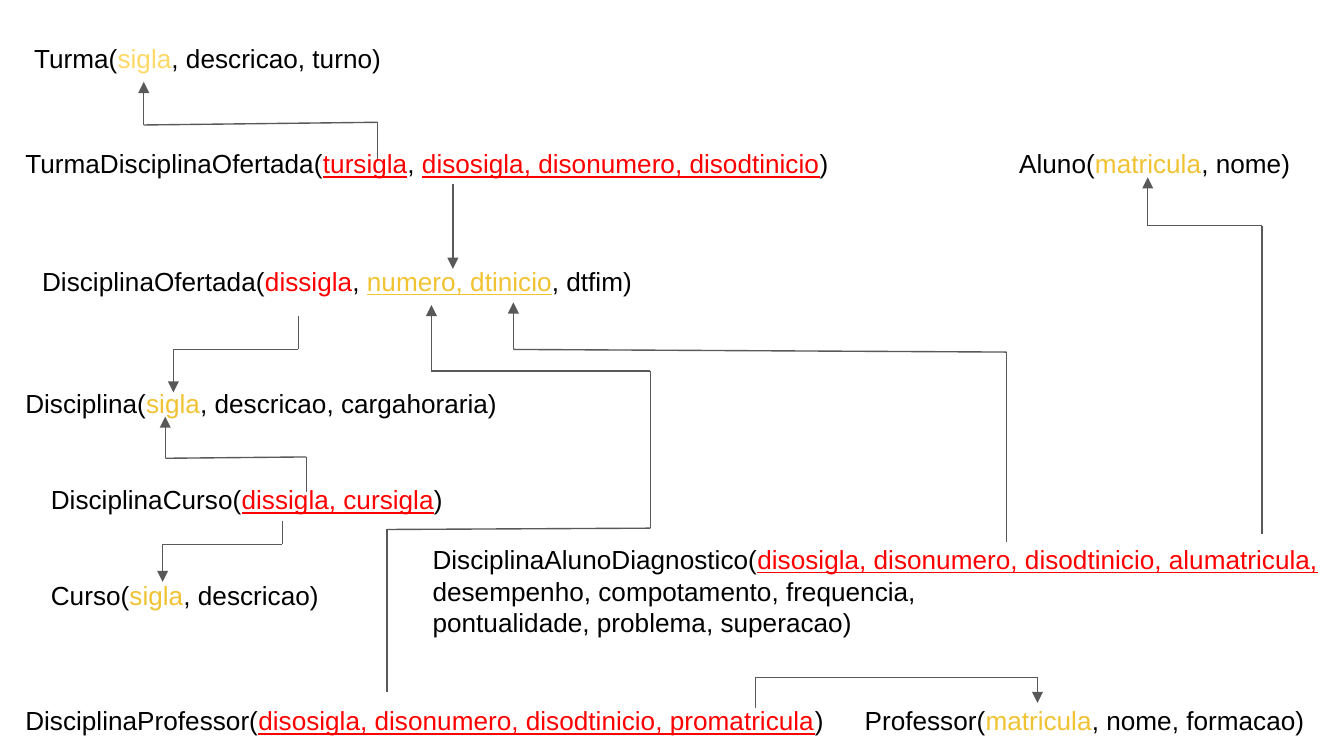
from itertools import pairwise

from pptx import Presentation
from pptx.dml.color import RGBColor as Color
from pptx.enum.shapes import MSO_CONNECTOR as Connector
from pptx.oxml.ns import qn
from pptx.util import Inches, Pt
from lxml.etree import SubElement

COLORS = {"text": "000000", "key": "F1C232", "pale key": "FFD966",
          "foreign": "FF0000", "line": "595959"}
COLUMNS, ROWS = 100, 56.25


class Diagram:
    """Draws relations and references on a grid of columns and rows."""

    font, size, weight, inset = "Arial", Pt(14), Pt(0.75), Inches(0.1)

    def __init__(self, deck):
        self.page = deck.slides.add_slide(deck.slide_layouts[6])
        self.column = deck.slide_width / COLUMNS
        self.row = deck.slide_height / ROWS

    def place(self, *lengths):
        """Turn alternating columns and rows into slide lengths."""
        units = (self.column, self.row) * (len(lengths) // 2)
        return [round(length * unit) for length, unit in zip(lengths, units)]

    def relation(self, area, *lines):
        """Write lines of spans: plain text or (text, role, underlined)."""
        frame = self.page.shapes.add_textbox(*self.place(*area)).text_frame
        frame.word_wrap = True
        frame.margin_left = frame.margin_right = self.inset
        frame.margin_top = frame.margin_bottom = self.inset
        for number, line in enumerate(lines):
            para = frame.add_paragraph() if number else frame.paragraphs[0]
            para.font.name, para.font.size = self.font, self.size
            for part in line:
                text, role, underlined = (part, "text", False) if isinstance(part, str) else part
                span = para.add_run()
                span.text = text
                span.font.color.rgb = Color.from_string(COLORS[role])
                span.font.underline = underlined

    def reference(self, *points):
        """Join the points with lines, ending in an arrowhead."""
        for start, end in pairwise(points):
            line = self.page.shapes.add_connector(
                Connector.STRAIGHT, *self.place(*start, *end))
            line.line.color.rgb = Color.from_string(COLORS["line"])
            line.line.width = self.weight
            SubElement(line._element.spPr, qn("a:effectLst"))
        SubElement(line.line._get_or_add_ln(), qn("a:tailEnd"), type="triangle")


def key(text, role="key", underlined=False):
    return text, role, underlined


def foreign(text, underlined=True):
    return text, "foreign", underlined


RELATIONS = [
    ((1.55, 2.15, 48.2, 2.7),
     ["Turma(", key("sigla", "pale key"), ", descricao, turno)"]),
    ((0.9, 10, 80.2, 9.4),
     ["TurmaDisciplinaOfertada(", foreign("tursigla"), ", ",
      foreign("disosigla, disonumero, disodtinicio"), ")"]),
    ((74.85, 10, 22.2, 4), ["Aluno(", key("matricula"), ", nome)"]),
    ((2.15, 18.75, 80.2, 9.4),
     ["DisciplinaOfertada(", foreign("dissigla", False), ", ",
      key("numero, dtinicio", underlined=True), ", dtfim)"]),
    ((0.9, 27.85, 80.3, 9.4),
     ["Disciplina(", key("sigla"), ", descricao, cargahoraria)"]),
    ((2.8, 35, 34.2, 9.4),
     ["DisciplinaCurso(", foreign("dissigla, cursigla"), ")"]),
    ((2.8, 42.1, 22.8, 9.4), ["Curso(", key("sigla"), ", descricao)"]),
    ((31.2, 39.45, 80.2, 9.4),
     ["DisciplinaAlunoDiagnostico(",
      foreign("disosigla, disonumero, disodtinicio, alumatricula,")],
     ["desempenho, compotamento, frequencia,"],
     ["pontualidade, problema, superacao)"]),
    ((0.9, 51.45, 61.4, 4),
     ["DisciplinaProfessor(",
      foreign("disosigla, disonumero, disodtinicio, promatricula"), ")"]),
    ((63.35, 51.45, 38.5, 4),
     ["Professor(", key("matricula"), ", nome, formacao)"]),
]

REFERENCES = [
    [(28.1, 11.8), (28.1, 9.1), (10.7, 9.3), (10.7, 6.1)],
    [(33.7, 13.7), (33.7, 18.5), (33.7, 20)],
    [(22.2, 23.5), (22.2, 26), (12.9, 26), (12.9, 29.2)],
    [(22.8, 36.6), (22.8, 34), (12.3, 34.1), (12.3, 31)],
    [(21, 38.8), (21, 40.5), (12.1, 40.5), (12.1, 43.3)],
    [(74.9, 40.3), (74.9, 26.2), (38.2, 26), (38.2, 22.5)],
    [(93.9, 39.7), (93.9, 16.8), (85.4, 16.8), (85.4, 13.2)],
    [(56.2, 52.7), (56.2, 50.4), (77.2, 50.4), (77.2, 52.3)],
    [(28.8, 51.5), (28.8, 39.4), (48.4, 39.3), (48.4, 27.6),
     (32.1, 27.6), (32.1, 22.7)],
]


def main():
    deck = Presentation()
    deck.slide_width = Inches(10)
    deck.slide_height = deck.slide_width * 9 // 16
    diagram = Diagram(deck)
    for area, *lines in RELATIONS:
        diagram.relation(area, *lines)
    for points in REFERENCES:
        diagram.reference(*points)
    deck.save("out.pptx")


if __name__ == "__main__":
    main()
